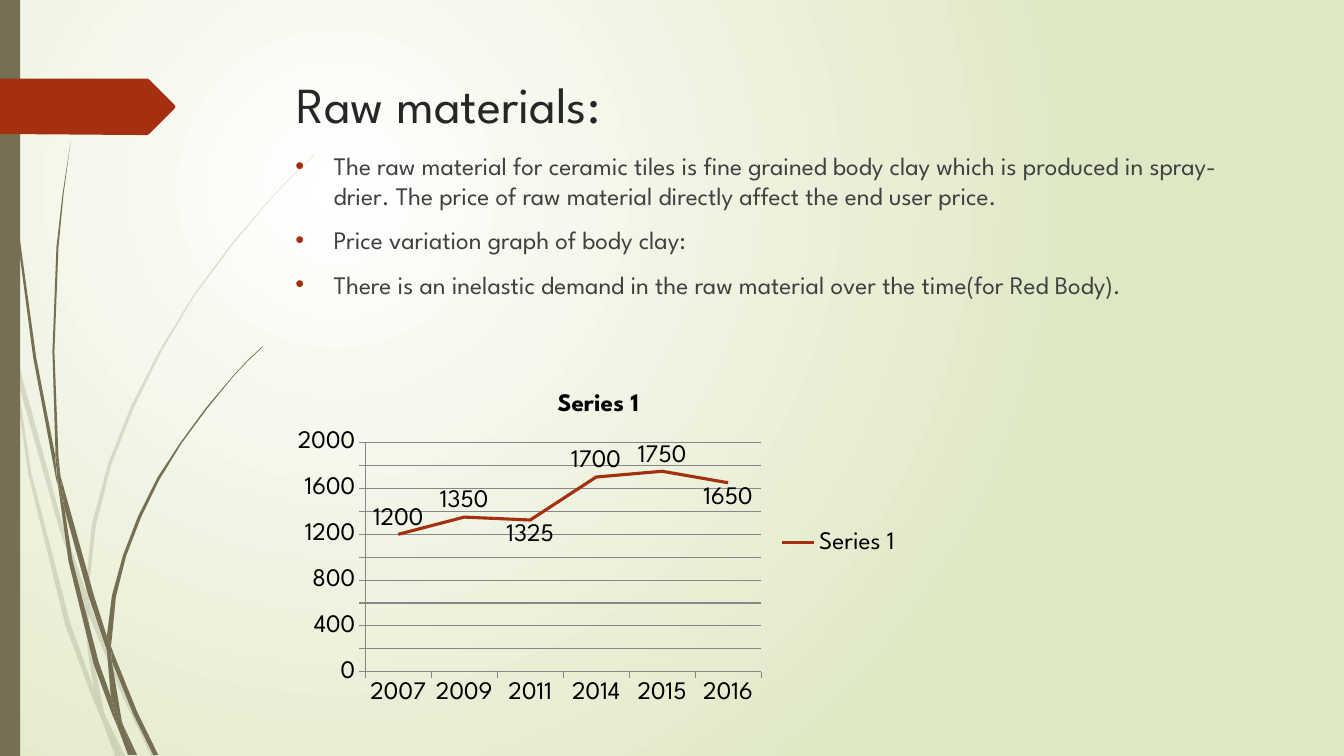
from dataclasses import dataclass
from lxml import etree
from pptx import Presentation
from pptx import util as u
from pptx.chart.data import CategoryChartData
from pptx.dml.color import RGBColor
from pptx.enum import chart as charts, shapes, text
from pptx.oxml import parse_xml
from pptx.oxml.ns import nsdecls, qn

TITLE = "Raw materials:"
BULLETS = [
    "The raw material for ceramic tiles is fine grained body clay which is produced in spray-drier. "
    "The price of raw material directly affect the end user price.",
    "Price variation graph of body clay:",
    "There is an inelastic demand in the raw material over the time(for Red Body).",
]
SERIES = "Series 1"
PRICES = {"2007": 1200, "2009": 1350, "2011": 1325, "2014": 1700, "2015": 1750, "2016": 1650}
LABELS_BELOW = {"2011", "2016"}

TITLE_AREA = (2.84, 0.68, 9.75, 0.96)
BODY_AREA = (2.83, 1.44, 9.75, 5.03)
CHART_AREA = (2.83, 3.71, 6.21, 3.35)
SIDE_BAR = (0, 0, 0.2, 7.5)

PALE_WISPS = [
    [(0.11, 3.5), (0.09, 3.22), (0, 2.82), (0, 2.99), (0.1, 3.44)],
    [(0.58, 5.22), (0.84, 5.99), (0.85, 5.86), (0.62, 5.2), (0.14, 3.45), (0.17, 3.76)],
    [(0.92, 6.07), (0.88, 5.96), (0.88, 6.1), (1.23, 6.94), (1.5, 7.5), (1.55, 7.5), (1.27, 6.92)],
    [(1.19, 7.5), (1.24, 7.5), (1.05, 7.11)],
    [(0.93, 6.83), (0.7, 6.19), (0.31, 4.69), (0.17, 3.76), (0.11, 3.5), (0.28, 4.7),
     (0.65, 6.21), (0.92, 6.93), (1.01, 7.14), (0.99, 7.07)],
    [(0.84, 5.99), (0.87, 6.46), (0.93, 6.83), (0.96, 6.92), (1.05, 7.11), (1.03, 7.06),
     (0.91, 6.46), (0.88, 6.1), (0.88, 6.08)],
    [(0.88, 5.84), (0.95, 5.22), (1.1, 4.62), (1.33, 4.04), (1.6, 3.49), (1.92, 2.95),
     (2.29, 2.45), (2.68, 1.98), (2.9, 1.75), (3.12, 1.54), (3.12, 1.53), (2.89, 1.75),
     (2.68, 1.97), (2.28, 2.44), (1.91, 2.94), (1.58, 3.48), (1.3, 4.03), (1.07, 4.61),
     (0.91, 5.21), (0.85, 5.84), (0.85, 5.86), (0.88, 5.96)],
    [(1.01, 7.14), (1.14, 7.5), (1.19, 7.5)],
    [(0.88, 6.08), (0.88, 6.1), (0.88, 5.96), (0.85, 5.86), (0.84, 5.99)],
    [(0.96, 6.92), (0.93, 6.83), (0.99, 7.07), (1.01, 7.14), (1.19, 7.5), (1.05, 7.11)],
]
DARK_WISPS = [
    [(0.07, 1.1), (0.17, 2.33), (0.33, 3.55), (0.56, 4.77), (0.57, 4.81), (0.55, 4.57),
     (0.55, 4.53), (0.36, 3.55), (0.19, 2.32), (0.08, 1.09), (0.05, 0.48), (0.04, 0),
     (0.03, 0), (0.04, 0.48)],
    [(0.88, 5.92), (1.06, 6.45), (1.06, 6.33), (1.06, 6.31), (0.93, 5.9), (0.6, 4.72), (0.64, 5.05)],
    [(1.13, 6.49), (1.1, 6.41), (1.11, 6.56), (1.32, 7.08), (1.52, 7.49), (1.57, 7.49), (1.36, 7.06)],
    [(1.1, 6.91), (0.98, 6.57), (0.72, 5.56), (0.64, 5.05), (0.57, 4.77), (0.68, 5.57),
     (0.93, 6.59), (1.11, 7.08), (1.17, 7.22), (1.16, 7.17)],
    [(0.6, 4.72), (0.58, 4.53), (0.54, 3.49), (0.58, 2.45), (0.63, 1.93), (0.7, 1.41),
     (0.62, 1.93), (0.56, 2.45), (0.52, 3.49), (0.55, 4.49)],
    [(1.33, 7.49), (1.36, 7.49), (1.22, 7.19)],
    [(0.57, 4.77), (0.64, 5.05), (0.6, 4.72), (0.55, 4.49), (0.55, 4.53)],
    [(1.11, 6.33), (1.15, 5.92), (1.25, 5.52), (1.4, 5.13), (1.58, 4.76), (1.8, 4.4),
     (2.05, 4.06), (2.31, 3.74), (2.45, 3.59), (2.61, 3.44), (2.6, 3.44), (2.45, 3.58),
     (2.31, 3.73), (2.04, 4.05), (1.79, 4.39), (1.56, 4.74), (1.37, 5.12), (1.22, 5.51),
     (1.11, 5.91), (1.06, 6.31), (1.1, 6.41)],
    [(1.17, 7.22), (1.27, 7.49), (1.31, 7.49)],
    [(1.06, 6.45), (1.1, 6.91), (1.16, 7.06), (1.22, 7.19), (1.21, 7.16), (1.11, 6.56), (1.09, 6.51)],
    [(1.06, 6.45), (1.09, 6.51), (1.11, 6.56), (1.1, 6.41), (1.06, 6.31), (1.06, 6.33)],
    [(1.16, 7.06), (1.1, 6.91), (1.16, 7.17), (1.17, 7.22), (1.3, 7.49), (1.33, 7.49), (1.22, 7.19)],
]
ARROW = [(1.74, 1.06), (1.73, 1.08), (1.48, 1.33), (1.46, 1.34), (1.36, 1.34), (0, 1.33),
         (0, 0.78), (1.46, 0.78), (1.48, 0.79), (1.73, 1.04)]


@dataclass(frozen=True)
class Theme:
    font: str = "League Spartan"
    accent: str = "A53010"
    olive: str = "766F54"
    heading: str = "262626"
    body: str = "404040"
    chart_text: str = "000000"
    grid: str = "878787"
    glow: str = "FFFFFF"
    ground: str = "DFE8C4"
    title_size: int = 36
    text_size: int = 18


THEME = Theme()


def style_font(font, size, color, bold=False):
    font.name, font.size, font.bold = THEME.font, u.Pt(size), bold
    font.color.rgb = RGBColor.from_string(color)


def write(para, content, size=THEME.text_size, color=THEME.body, before=0, bullet=None):
    para.alignment = text.PP_ALIGN.LEFT
    if bullet:
        props = para._p.get_or_add_pPr()
        props.set("marL", str(u.Inches(0.38)))
        props.set("indent", str(u.Inches(-0.38)))
        tint = etree.SubElement(props, qn("a:buClr"))
        etree.SubElement(tint, qn("a:srgbClr"), val=THEME.accent)
        etree.SubElement(props, qn("a:buFont"), typeface="Arial")
        etree.SubElement(props, qn("a:buChar"), char=bullet)
    para.space_before = u.Pt(before)
    span = para.add_run()
    span.text = content
    style_font(span.font, size, color)


def place(box, area):
    box.left, box.top, box.width, box.height = map(u.Inches, area)
    frame = box.text_frame
    frame.word_wrap, frame.auto_size = True, text.MSO_AUTO_SIZE.NONE
    frame.vertical_anchor = text.MSO_ANCHOR.TOP
    return frame


def paint(shape, color, opacity=100):
    shape.shadow.inherit = False
    shape.line.fill.background()
    shape.fill.solid()
    shape.fill.fore_color.rgb = RGBColor.from_string(color)
    if opacity < 100:
        tint = shape._element.spPr.find(".//" + qn("a:srgbClr"))
        etree.SubElement(tint, qn("a:alpha"), val=str(opacity * 1000))


def draw_outline(canvas, points, color, opacity=100):
    start, *rest = [(u.Inches(x), u.Inches(y)) for x, y in points]
    builder = canvas.build_freeform(*start)
    builder.add_line_segments(rest, close=True)
    paint(builder.convert_to_shape(), color, opacity)


def set_background(page):
    fill = page.background.fill
    fill.gradient()
    for stop, color in zip(fill.gradient_stops, (THEME.glow, THEME.ground)):
        stop.color.rgb = RGBColor.from_string(color)
    linear = page._element.find(".//" + qn("a:lin"))
    linear.getparent().replace(linear, parse_xml(
        f'<a:path {nsdecls("a")} path="circle">'
        '<a:fillToRect l="50000" t="50000" r="100000" b="100000"/></a:path>'))


def add_price_chart(page):
    data = CategoryChartData()
    data.categories = list(PRICES)
    data.add_series(SERIES, PRICES.values())
    chart = page.shapes.add_chart(charts.XL_CHART_TYPE.LINE, *map(u.Inches, CHART_AREA), data).chart
    style_font(chart.font, THEME.text_size, THEME.chart_text)
    chart.has_title = True
    heading = chart.chart_title.text_frame
    heading.text = SERIES
    style_font(heading.paragraphs[0].runs[0].font, THEME.text_size, THEME.chart_text, bold=True)
    chart.has_legend = True
    chart.legend.position = charts.XL_LEGEND_POSITION.RIGHT
    chart.legend.include_in_layout = False

    value_axis = chart.value_axis
    value_axis.minimum_scale, value_axis.maximum_scale, value_axis.major_unit = 0, 2000, 200
    value_axis.has_major_gridlines = True
    for axis in (chart.category_axis, value_axis):
        axis.major_tick_mark = charts.XL_TICK_MARK.OUTSIDE
    for owner in (chart.category_axis, value_axis, value_axis.major_gridlines):
        owner.format.line.color.rgb = RGBColor.from_string(THEME.grid)
        owner.format.line.width = u.Pt(0.75)

    plot = chart.plots[0]
    plot.vary_by_categories = False
    plot.has_data_labels = True
    plot.data_labels.show_value = True
    series = plot.series[0]
    series.smooth = False
    series.marker.style = charts.XL_MARKER_STYLE.NONE
    series.format.line.color.rgb = RGBColor.from_string(THEME.accent)
    series.format.line.width = u.Pt(2.25)
    sides = charts.XL_LABEL_POSITION
    for index, year in enumerate(PRICES):
        label = series.points[index].data_label
        label.position = sides.BELOW if year in LABELS_BELOW else sides.ABOVE


def main():
    deck = Presentation()
    deck.slide_width, deck.slide_height = u.Inches(13.33), u.Inches(7.5)
    page = deck.slides.add_slide(deck.slide_layouts[1])
    title, body = page.placeholders
    set_background(page)

    for wisps, opacity in ((PALE_WISPS, 20), (DARK_WISPS, 100)):
        group = page.shapes.add_group_shape()
        for points in wisps:
            draw_outline(group.shapes, points, THEME.olive, opacity)
    bar = page.shapes.add_shape(shapes.MSO_SHAPE.RECTANGLE, *map(u.Inches, SIDE_BAR))
    paint(bar, THEME.olive)
    draw_outline(page.shapes, ARROW, THEME.accent)

    for box in (title, body):
        page.shapes._spTree.append(box._element)
    write(place(title, TITLE_AREA).paragraphs[0], TITLE, size=THEME.title_size, color=THEME.heading)
    frame = place(body, BODY_AREA)
    for index, line in enumerate(BULLETS):
        para = frame.add_paragraph() if index else frame.paragraphs[0]
        write(para, line, before=10 if index else 0, bullet="•")
    add_price_chart(page)
    deck.save("out.pptx")


if __name__ == "__main__":
    main()
